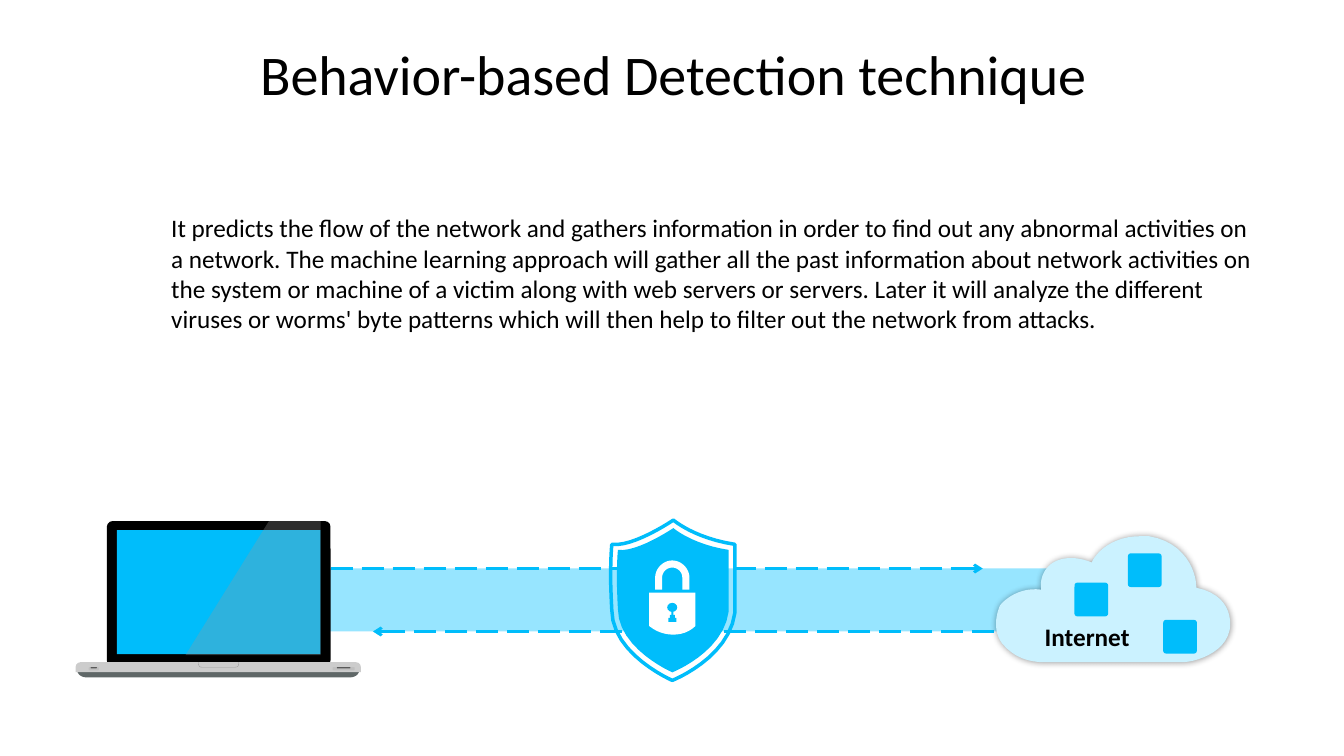
from lxml.etree import SubElement
from pptx import Presentation
from pptx.dml.color import RGBColor
from pptx.enum.dml import MSO_LINE
from pptx.enum.shapes import MSO_CONNECTOR, MSO_SHAPE
from pptx.enum.text import MSO_ANCHOR, PP_ALIGN
from pptx.oxml.ns import qn
from pptx.util import Pt

SKY = "00BDFB"
FONT = "Calibri"
CURVE_STEPS = 12


def color(hex_string):
    return RGBColor.from_string(hex_string)


def paint(shape, fill=None, line=None, weight=1):
    shape.shadow.inherit = False
    if fill:
        shape.fill.solid()
        shape.fill.fore_color.rgb = color(fill)
    else:
        shape.fill.background()
    if line:
        shape.line.color.rgb = color(line)
        shape.line.width = Pt(weight)
    else:
        shape.line.fill.background()
    return shape


def add_preset(slide, preset, origin, box, fill, corner=None):
    left, top, width, height = box
    shape = slide.shapes.add_shape(
        preset, Pt(origin[0] + left), Pt(origin[1] + top), Pt(width), Pt(height))
    if corner is not None:
        shape.adjustments[0] = corner
    return paint(shape, fill)


def flatten(steps):
    points = [steps[0]]
    for step in steps[1:]:
        if len(step) == 2:
            points.append(step)
            continue
        start = points[-1]
        for i in range(1, CURVE_STEPS + 1):
            t = i / CURVE_STEPS
            u = 1 - t
            points.append(tuple(
                u ** 3 * start[k] + 3 * u * u * t * step[k]
                + 3 * u * t * t * step[k + 2] + t ** 3 * step[k + 4]
                for k in (0, 1)))
    return points


def add_outline(slide, origin, points, fill=None, line=None, weight=1, close=True):
    placed = [(Pt(origin[0] + x), Pt(origin[1] + y)) for x, y in points]
    builder = slide.shapes.build_freeform(*placed[0], scale=1.0)
    builder.add_line_segments(placed[1:], close=close)
    return paint(builder.convert_to_shape(), fill, line, weight)


def add_text(slide, box, text, size, align=PP_ALIGN.LEFT,
             anchor=MSO_ANCHOR.TOP, bold=False, spacing=None):
    frame = slide.shapes.add_textbox(*map(Pt, box)).text_frame
    frame.word_wrap = True
    frame.vertical_anchor = anchor
    paragraph = frame.paragraphs[0]
    paragraph.alignment = align
    paragraph.line_spacing = spacing
    run = paragraph.add_run()
    run.text = text
    run.font.name = FONT
    run.font.size = Pt(size)
    run.font.bold = bold
    run.font.color.rgb = color("000000")


def add_flow_arrow(slide, start_x, end_x, y):
    arrow = slide.shapes.add_connector(
        MSO_CONNECTOR.STRAIGHT, Pt(start_x), Pt(y), Pt(end_x), Pt(y))
    arrow.line.color.rgb = color(SKY)
    arrow.line.width = Pt(2)
    arrow.line.dash_style = MSO_LINE.LONG_DASH
    SubElement(arrow.line._get_or_add_ln(), qn("a:tailEnd"), type="arrow")
    SubElement(arrow._element.spPr, qn("a:effectLst"))


def draw_channel(slide, box):
    left, top, width, height = box
    add_preset(slide, MSO_SHAPE.RECTANGLE, (0, 0), box, "97E5FF")
    add_flow_arrow(slide, left + 72.8, left + 538.6, top)
    add_flow_arrow(slide, left + 568.8, left + 103, top + height)


def draw_laptop(slide, origin):
    underside = [(1.4, 109.2), (2.9, 112.1, 5.8, 112.8, 7.2, 112.8), (196.6, 112.8),
                 (196.6, 112.8, 200.9, 112.8, 202.3, 109.2), (200.9, 107.1), (3.6, 107.1)]
    add_outline(slide, origin, flatten(underside), "5F6767")
    add_preset(slide, MSO_SHAPE.ROUNDED_RECTANGLE, origin,
               (22.3, 1.2, 159.8, 103.7), "000000", 0.04)
    add_preset(slide, MSO_SHAPE.RECTANGLE, origin, (29.5, 7.7, 145.4, 88.6), SKY)
    add_preset(slide, MSO_SHAPE.ROUND_2_SAME_RECTANGLE, origin,
               (0, 102, 203.8, 7.2), "CCCCCC", 0.5)
    notch = [(87.8, 102), (87.8, 105.6, 89, 105.6, 91, 105.6), (113.5, 105.6),
             (116, 105.6, 116.6, 105, 116.6, 102)]
    add_outline(slide, origin, flatten(notch), line="999999", weight=0.25, close=False)
    for foot_x, foot_width in ((9.4, 7.2), (183.6, 15.8)):
        for share, height, fill in ((1, 2.2, "BFBFBF"), (0.6, 0.8, "595959")):
            width = foot_width * share
            add_preset(slide, MSO_SHAPE.ROUNDED_RECTANGLE, origin,
                       (foot_x + (foot_width - width) / 2, 105.6, width, height),
                       fill, 0.28)
    glare = add_outline(slide, origin,
                        [(138.2, 1.2), (175, 1.2), (175, 97), (78.5, 97)], "999999")
    glare_color = glare._element.spPr.find(qn("a:solidFill"))[0]
    SubElement(glare_color, qn("a:alpha"), val="30000")


def draw_cloud(slide, origin):
    edge = [(105.5, 0), (106.9, 0, 108.4, 0, 109.8, 0),
            (135.7, 4.4, 143.6, 25.2, 143.6, 36.8),
            (167.4, 41.8, 168.8, 59.1, 167.4, 67),
            (163.8, 84.3, 141.5, 90, 133.6, 90), (32.8, 90),
            (20.5, 89.3, 11.9, 85, 4.7, 76.4),
            (-1.8, 67.7, 0.4, 56.2, 3.2, 49.7),
            (6.1, 45.4, 17.6, 36, 32.8, 38.2),
            (31.3, 29.6, 35.6, 21.6, 42.8, 18),
            (51.5, 13.7, 62.3, 15.9, 68.8, 18.8),
            (71.6, 12.3, 83.2, -0.7, 105.5, 0)]
    cloud = add_outline(slide, origin, flatten(edge), "CBF2FF")
    effects = cloud._element.spPr.find(qn("a:effectLst"))
    shadow = SubElement(effects, qn("a:outerShdw"), blurRad=str(Pt(5)), dist="0", dir="0")
    shade = SubElement(shadow, qn("a:srgbClr"), val="000000")
    SubElement(shade, qn("a:alpha"), val="40000")
    for badge_x, badge_y in ((94.7, 12.3), (119.9, 59.8), (56.5, 33.2)):
        add_preset(slide, MSO_SHAPE.ROUNDED_RECTANGLE, origin,
                   (badge_x, badge_y, 24, 24), SKY, 0.08)
    add_text(slide, (origin[0] + 20.5, origin[1] + 57.6, 90, 28.8),
             "Internet", 18, PP_ALIGN.CENTER, bold=True)


def draw_shield(slide, origin):
    rim = flatten([(45, 0.5), (45, 0.5, 16.2, 20, 1, 17.8),
                   (-0.4, 35.1, 0.3, 51.6, 1, 64.6),
                   (1, 96.3, 44.2, 115, 44.2, 115),
                   (44.2, 115, 84.6, 99.2, 88.9, 66.8),
                   (88.9, 50.2, 88.9, 32.9, 88.9, 17.8),
                   (60.1, 13.5, 45, 0.5, 45, 0.5)])
    core = [(45 + (x - 45) * 0.9, 57.5 + (y - 57.5) * 0.9) for x, y in rim]
    add_outline(slide, origin, rim, line=SKY, weight=2.5)
    add_outline(slide, origin, core, SKY)
    lock_body = [(60.8, 76.1), (52.2, 84.8, 37, 84, 27.7, 76.1), (27.7, 52.4), (60.8, 52.4)]
    shackle = [(32, 50.2), (32, 41.6), (32, 35, 37.8, 29.3, 44.2, 29.3),
               (50.7, 29.3, 56.5, 35, 56.5, 41.6), (56.5, 50.2), (51.4, 50.2),
               (51.4, 41.6), (51.4, 37.3, 47.8, 34.4, 44.2, 34.4),
               (40.6, 34.4, 37, 37.3, 37, 41.6), (37, 50.2)]
    for part in (lock_body, shackle):
        add_outline(slide, origin, flatten(part), "FFFFFF")
    for preset, box in ((MSO_SHAPE.OVAL, (40.6, 59.6, 7.2, 6.5)),
                        (MSO_SHAPE.RECTANGLE, (43.5, 65, 1.6, 4)),
                        (MSO_SHAPE.RECTANGLE, (42.5, 68.2, 3.6, 3)),
                        (MSO_SHAPE.RECTANGLE, (41.4, 70.4, 5.8, 2.9))):
        add_preset(slide, preset, origin, box, SKY)


def build_detection_slide(deck):
    slide = deck.slides.add_slide(deck.slide_layouts[6])
    draw_channel(slide, (163.4, 406.1, 633.6, 45))
    add_text(slide, (25.2, 26.6, 911.5, 56.9), "Behavior-based Detection technique",
             40, PP_ALIGN.CENTER, MSO_ANCHOR.MIDDLE, spacing=0.9)
    draw_laptop(slide, (54, 371))
    draw_cloud(slide, (711, 383))
    draw_shield(slide, (436, 371))
    add_text(slide, (115.2, 148.3, 795.6, 116.6),
             "It predicts the flow of the network and gathers information in order to find "
             "out any abnormal activities on a network. The machine learning approach will "
             "gather all the past information about network activities on the system or "
             "machine of a victim along with web servers or servers. Later it will analyze "
             "the different viruses or worms' byte patterns which will then help to filter "
             "out the network from attacks.", 18)


def main():
    deck = Presentation()
    deck.slide_width = Pt(960)
    deck.slide_height = Pt(540)
    build_detection_slide(deck)
    deck.save("out.pptx")


if __name__ == "__main__":
    main()
